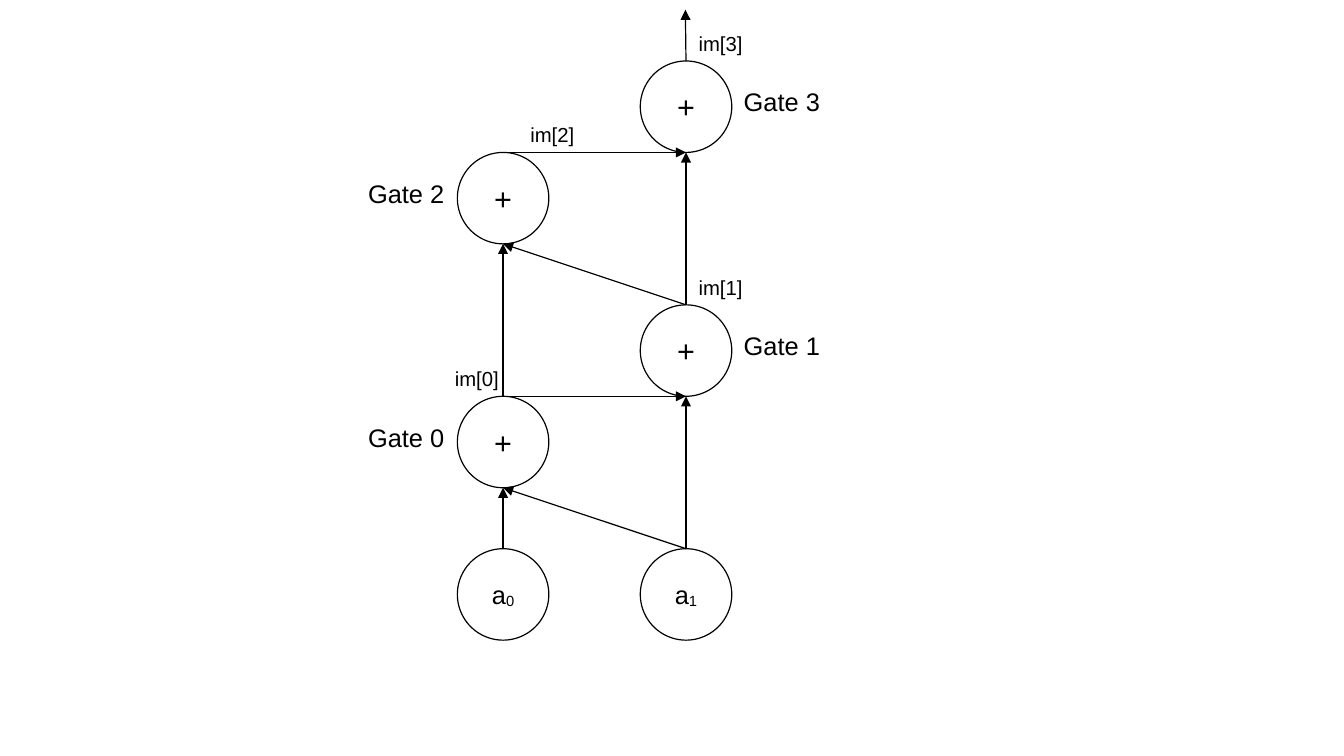
"""Draw a circuit of four addition gates fed by two inputs."""
from lxml import etree
from pptx import Presentation
from pptx import util as u
from pptx.dml.color import RGBColor
from pptx.enum import shapes, text
from pptx.oxml.ns import qn

COLORS = {"ink": "000000", "paper": "FFFFFF"}
FONT = "Arial"
SIZE = 0.75
LINE = 0.71
LEFT, RIGHT = 3.75, 5.25
NODES = {
    "a0": (LEFT, 4.5, "a", "0"),
    "a1": (RIGHT, 4.5, "a", "1"),
    "Gate 0": (LEFT, 3.25, "+", ""),
    "Gate 1": (RIGHT, 2.5, "+", ""),
    "Gate 2": (LEFT, 1.25, "+", ""),
    "Gate 3": (RIGHT, 0.5, "+", ""),
}
WIRES = [
    ("a0", "Gate 0"), ("a1", "Gate 0"),
    ("a1", "Gate 1"), ("Gate 0", "Gate 1"),
    ("Gate 0", "Gate 2"), ("Gate 1", "Gate 2"),
    ("Gate 2", "Gate 3"), ("Gate 1", "Gate 3"),
]
OUTPUT = ("Gate 3", 5.62, 0.08)
SIGNALS = [
    ("im[0]", "Gate 0", 3.57, 0.68),
    ("im[1]", "Gate 1", 5.63, 0.56),
    ("im[2]", "Gate 2", 4.25, 0.56),
    ("im[3]", "Gate 3", 5.63, 0.56),
]
SIGNAL_H = 0.29
GATE_W, GATE_H, GATE_DROP = 0.83, 0.33, 0.17


def rgb(name):
    return RGBColor.from_string(COLORS[name])


def write(sp, content, size=15, sub="", center=False, wrap=True, grow=False):
    tf = sp.text_frame
    tf.word_wrap = wrap
    tf.vertical_anchor = text.MSO_ANCHOR.MIDDLE
    tf.auto_size = text.MSO_AUTO_SIZE.SHAPE_TO_FIT_TEXT if grow else text.MSO_AUTO_SIZE.NONE
    p = tf.paragraphs[0]
    p.alignment = text.PP_ALIGN.CENTER if center else text.PP_ALIGN.LEFT
    for part, base in ((content, None), (sub, "-8000")):
        if part:
            r = p.add_run()
            r.text = part
            r.font.name, r.font.size = FONT, u.Pt(size)
            r.font.color.rgb = rgb("ink")
            if base:
                r._r.get_or_add_rPr().set("baseline", base)


def add_node(s, x, y, label, sub):
    sp = s.shapes.add_shape(shapes.MSO_SHAPE.OVAL, *map(u.Inches, (x, y, SIZE, SIZE)))
    sp.shadow.inherit = False
    sp.fill.solid()
    sp.fill.fore_color.rgb = rgb("paper")
    sp.line.color.rgb = rgb("ink")
    sp.line.width = u.Pt(LINE)
    write(sp, label, size=15 if sub else 18, sub=sub, center=True)
    return sp


def add_wire(s, source, x, y):
    cx = s.shapes.add_connector(shapes.MSO_CONNECTOR.STRAIGHT, 0, 0, x, y)
    cx.begin_connect(source, 0)
    cx.line.color.rgb = rgb("ink")
    cx.line.width = u.Pt(LINE)
    etree.SubElement(cx.line._get_or_add_ln(), qn("a:tailEnd"), type="triangle")
    etree.SubElement(cx._element.spPr, qn("a:effectLst"))


def add_label(s, content, x, y, w, h, **fmt):
    sp = s.shapes.add_textbox(*map(u.Inches, (x, y, w, h)))
    write(sp, content, grow=True, **fmt)


def main():
    prs = Presentation()
    prs.slide_width, prs.slide_height = u.Inches(11.02), u.Inches(6.2)
    s = prs.slides.add_slide(prs.slide_layouts[6])
    nodes = {name: add_node(s, *node) for name, node in NODES.items()}
    for start, end in WIRES:
        sp = nodes[end]
        add_wire(s, nodes[start], sp.left + sp.width // 2, sp.top + sp.height)
    name, x, y = OUTPUT
    add_wire(s, nodes[name], u.Inches(x), u.Inches(y))
    for label, gate, x, w in SIGNALS:
        centered = x < LEFT
        add_label(s, label, x, NODES[gate][1] - SIGNAL_H, w, SIGNAL_H,
                  size=12, center=centered, wrap=centered)
    for name, (x, y, *_) in NODES.items():
        if name.startswith("Gate"):
            label_x = x - GATE_W if x == LEFT else x + SIZE
            add_label(s, name, label_x, y + GATE_DROP, GATE_W, GATE_H)
    prs.save("out.pptx")


if __name__ == "__main__":
    main()
